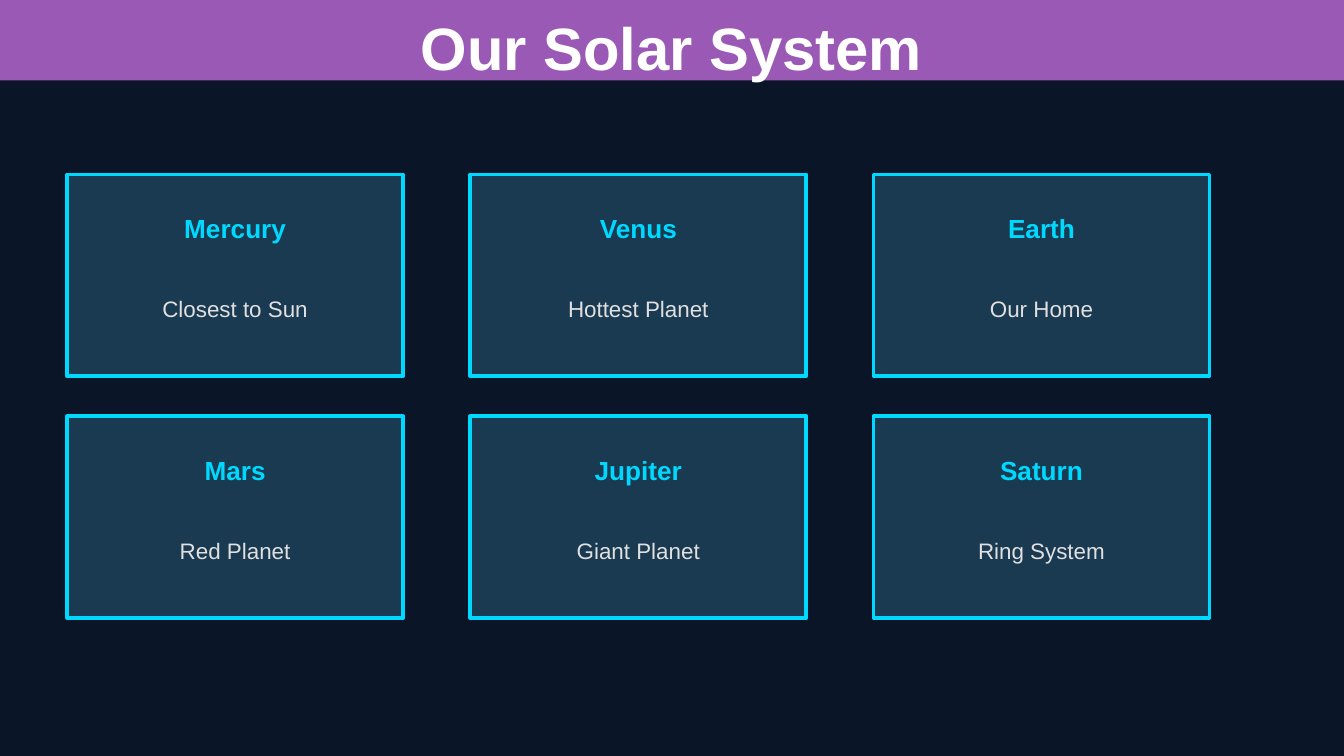
from pptx import Presentation
from pptx.dml.color import RGBColor
from pptx.enum.shapes import MSO_SHAPE
from pptx.enum.text import MSO_ANCHOR, PP_ALIGN
from pptx.util import Cm, Pt

TITLE = "Our Solar System"
PLANETS = [
    ("Mercury", "Closest to Sun"),
    ("Venus", "Hottest Planet"),
    ("Earth", "Our Home"),
    ("Mars", "Red Planet"),
    ("Jupiter", "Giant Planet"),
    ("Saturn", "Ring System"),
]

NIGHT = RGBColor(0x0A, 0x16, 0x28)
PURPLE = RGBColor(0x9B, 0x59, 0xB6)
NAVY = RGBColor(0x1A, 0x3A, 0x52)
CYAN = RGBColor(0x00, 0xD9, 0xFF)
WHITE = RGBColor(0xFF, 0xFF, 0xFF)
PALE = RGBColor(0xE0, 0xE0, 0xE0)

# Lengths in centimetres
WIDTH, HEIGHT = 25.4, 14.29
COLS = 3
LEFT, TOP = 1.27, 3.3
CARD_W, CARD_H = 6.35, 3.81
GAP_X, GAP_Y = 1.27, 0.76


def add_box(slide, x, y, w, h, fill, line=None):
    box = slide.shapes.add_shape(
        MSO_SHAPE.RECTANGLE, Cm(x), Cm(y), Cm(w), Cm(h))
    box.shadow.inherit = False
    box.fill.solid()
    box.fill.fore_color.rgb = fill
    if line is None:
        box.line.fill.background()
    else:
        box.line.color.rgb = line
        box.line.width = Pt(2)


def add_text(slide, text, x, y, w, h, *, size, color, bold=False):
    frame = slide.shapes.add_textbox(Cm(x), Cm(y), Cm(w), Cm(h)).text_frame
    frame.word_wrap = True
    frame.vertical_anchor = MSO_ANCHOR.MIDDLE
    para = frame.paragraphs[0]
    para.alignment = PP_ALIGN.CENTER
    run = para.add_run()
    run.text = text
    run.font.name = "Arial"
    run.font.size = Pt(size)
    run.font.bold = bold
    run.font.color.rgb = color


def main():
    deck = Presentation()
    deck.slide_width, deck.slide_height = Cm(WIDTH), Cm(HEIGHT)
    slide = deck.slides.add_slide(deck.slide_layouts[6])
    slide.background.fill.solid()
    slide.background.fill.fore_color.rgb = NIGHT

    add_box(slide, 0, 0, WIDTH, 1.52, PURPLE)
    add_text(slide, TITLE, LEFT, 0.25, WIDTH - 2 * LEFT, 1.27,
             size=32, color=WHITE, bold=True)

    for i, (name, fact) in enumerate(PLANETS):
        row, col = divmod(i, COLS)
        x = LEFT + col * (CARD_W + GAP_X)
        y = TOP + row * (CARD_H + GAP_Y)
        add_box(slide, x, y, CARD_W, CARD_H, NAVY, line=CYAN)
        add_text(slide, name, x, y + 0.51, CARD_W, 1.02,
                 size=14, color=CYAN, bold=True)
        add_text(slide, fact, x, y + 1.78, CARD_W, 1.52,
                 size=12, color=PALE)

    deck.save("out.pptx")


if __name__ == "__main__":
    main()
